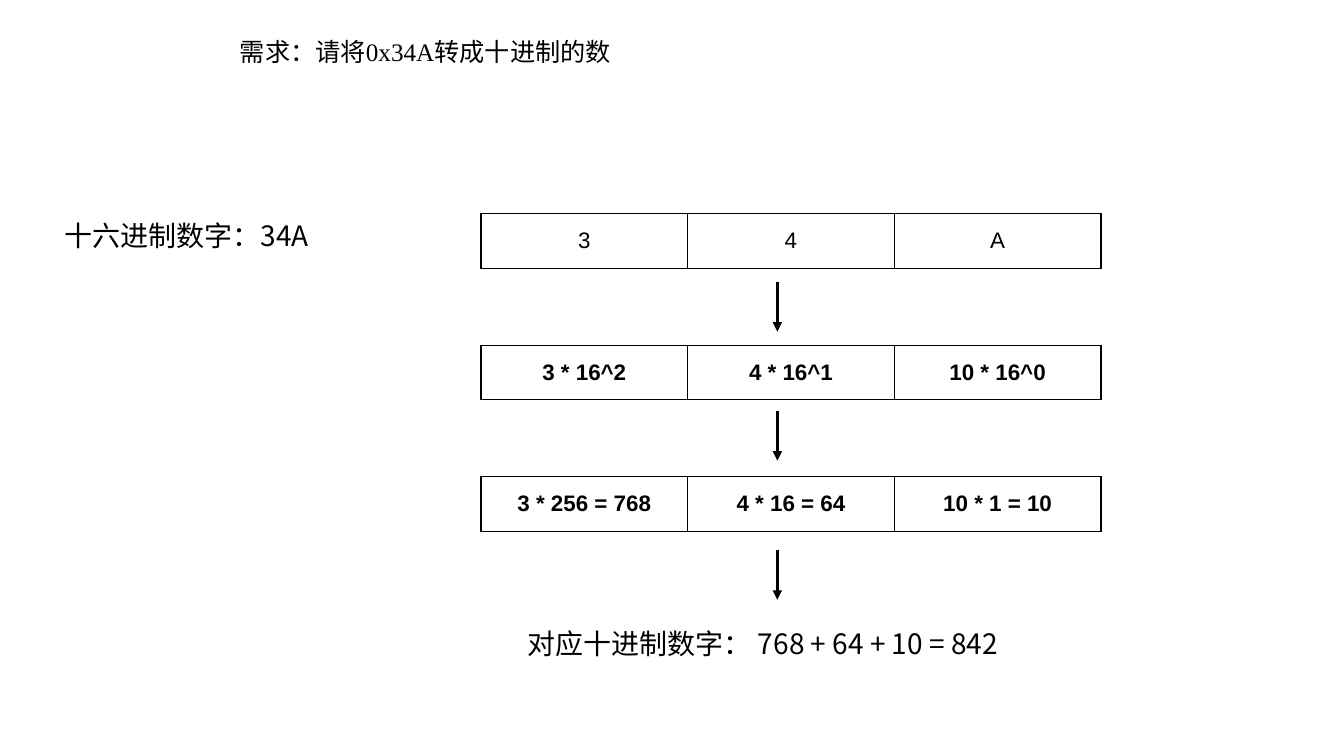
from lxml import etree
from pptx import Presentation
from pptx.dml.color import RGBColor
from pptx.enum.shapes import MSO_CONNECTOR
from pptx.enum.text import MSO_ANCHOR, MSO_AUTO_SIZE, PP_ALIGN
from pptx.oxml import parse_xml
from pptx.oxml.ns import qn
from pptx.util import Inches, Pt

BLACK, WHITE = "000000", "FFFFFF"
CJK_FONT = "Noto Sans CJK SC"
NS = "http://schemas.openxmlformats.org/drawingml/2006/main"

ROW_LEFT, ROW_TOP, ROW_STEP = 4.77, 2.12, 1.305
CELL_WIDTH, CELL_HEIGHT = 2.05, 0.54
ARROW_X, ARROW_LENGTH = 7.71, 0.49
ARROW_TOPS = (2.8, 4.08, 5.46)

CONVERSION_ROWS = [
    (("3", "4", "A"), False),
    (("3 * 16^2", "4 * 16^1", "10 * 16^0"), True),
    (("3 * 256 = 768", "4 * 16 = 64", "10 * 1 = 10"), True),
]
LABELS = [
    ("需求：请将0x34A转成十进制的数", (2.28, 0.31, 4.05, 0.4), 18, "Times New Roman"),
    ("十六进制数字：34A", (0.54, 2.12, 2.75, 0.44), 20, CJK_FONT),
    ("对应十进制数字： 768 + 64 + 10 = 842", (5.13, 6.17, 5.44, 0.44), 20, CJK_FONT),
]


def paint(fill, color):
    fill.solid()
    fill.fore_color.rgb = RGBColor.from_string(color)


def style(paragraph, font_name, size, bold=False):
    font = paragraph.font
    font.name, font.size, font.bold = font_name, Pt(size), bold
    font.color.rgb = RGBColor.from_string(BLACK)


def add_label(slide, text, box, size, font_name):
    label = slide.shapes.add_textbox(*map(Inches, box))
    paint(label.fill, WHITE)
    frame = label.text_frame
    frame.word_wrap = True
    frame.auto_size = MSO_AUTO_SIZE.SHAPE_TO_FIT_TEXT
    frame.text = text
    style(frame.paragraphs[0], font_name, size)


def add_borders(cell):
    properties = cell._tc.get_or_add_tcPr()
    for side in "LRTB":
        properties.append(parse_xml(
            f'<a:ln{side} xmlns:a="{NS}" w="{Pt(1)}"><a:solidFill>'
            f'<a:srgbClr val="{BLACK}"/></a:solidFill></a:ln{side}>'))


def add_digit_row(slide, left, top, texts, bold):
    """Place one row of cells, one cell for each hexadecimal digit."""
    table = slide.shapes.add_table(
        1, len(texts), Inches(left), Inches(top),
        Inches(CELL_WIDTH * len(texts)), Inches(CELL_HEIGHT)).table
    for cell, text in zip(table.rows[0].cells, texts):
        cell.text = text
        cell.vertical_anchor = MSO_ANCHOR.MIDDLE
        add_borders(cell)
        paint(cell.fill, WHITE)
        paragraph = cell.text_frame.paragraphs[0]
        paragraph.alignment = PP_ALIGN.CENTER
        style(paragraph, "Arial", 16, bold)


def add_down_arrow(slide, x, top, length):
    arrow = slide.shapes.add_connector(
        MSO_CONNECTOR.STRAIGHT, Inches(x), Inches(top), Inches(x), Inches(top + length))
    arrow.line.width = Pt(2.25)
    paint(arrow.line.fill, BLACK)
    etree.SubElement(arrow.line._get_or_add_ln(), qn("a:tailEnd"), type="triangle")
    etree.SubElement(arrow._element.spPr, qn("a:effectLst"))


def add_conversion(slide, left, top):
    """Stack the digit rows, each followed by an arrow to the next step."""
    for index, (texts, bold) in enumerate(CONVERSION_ROWS):
        add_digit_row(slide, left, top + index * ROW_STEP, texts, bold)
        arrow_top = top + ARROW_TOPS[index] - ROW_TOP
        add_down_arrow(slide, left + ARROW_X - ROW_LEFT, arrow_top, ARROW_LENGTH)


def main():
    deck = Presentation()
    deck.slide_width, deck.slide_height = Inches(13.33), Inches(7.5)
    slide = deck.slides.add_slide(deck.slide_layouts[6])
    paint(slide.background.fill, WHITE)
    for label in LABELS:
        add_label(slide, *label)
    add_conversion(slide, ROW_LEFT, ROW_TOP)
    deck.save("out.pptx")


if __name__ == "__main__":
    main()
